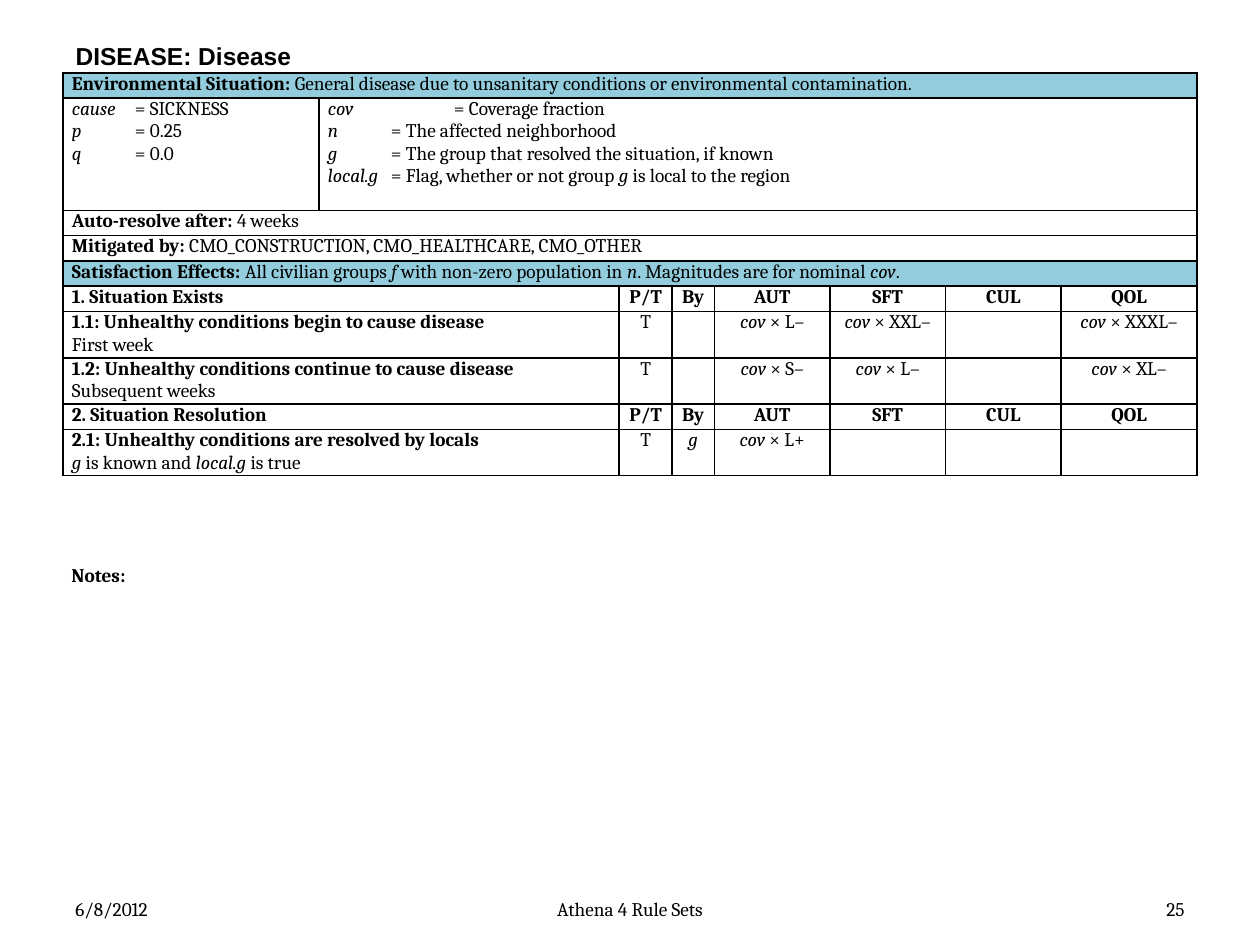
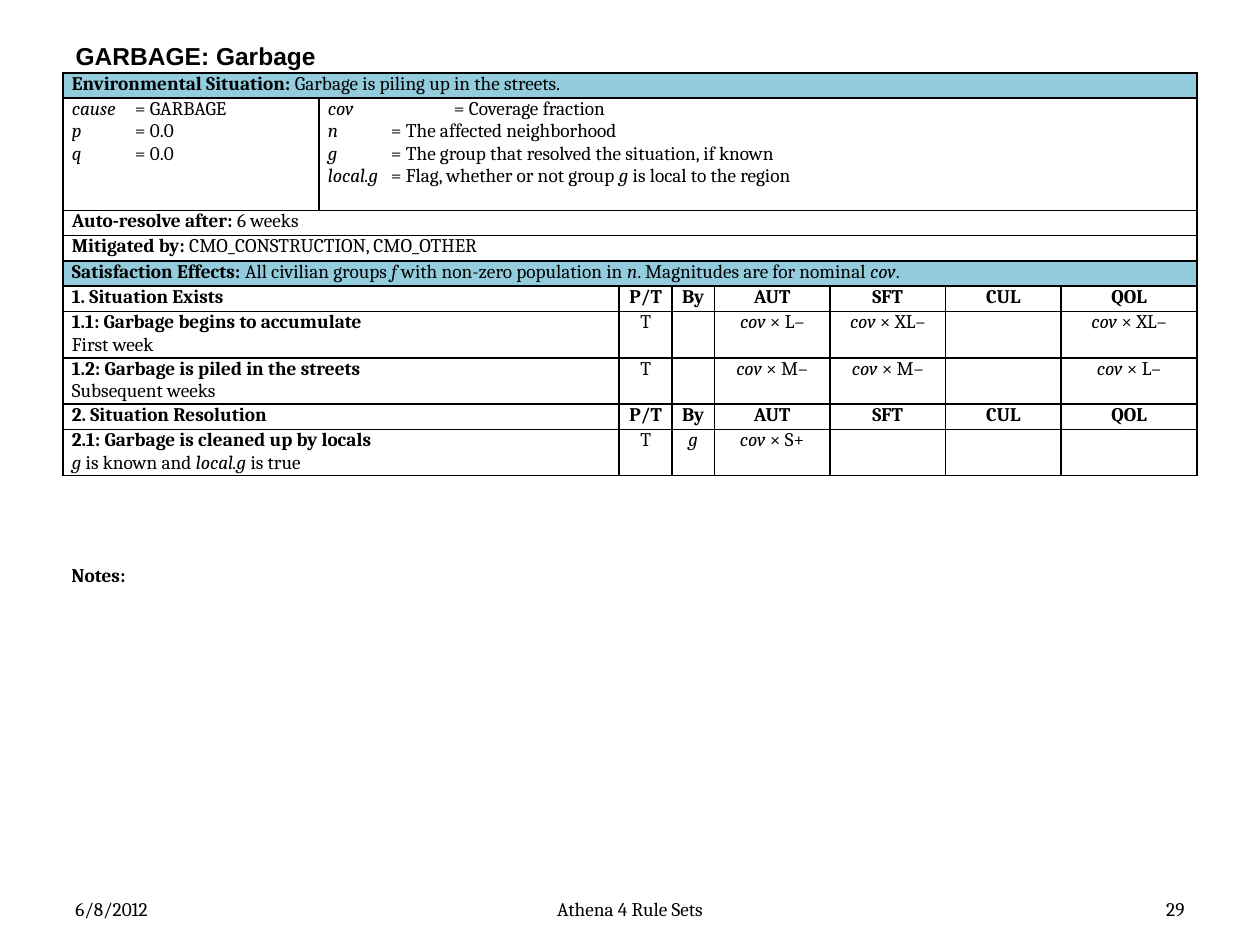
from dataclasses import dataclass
from typing import NamedTuple

from lxml import etree
from pptx import Presentation
from pptx.dml.color import RGBColor
from pptx.enum.text import MSO_ANCHOR, MSO_AUTO_SIZE, PP_ALIGN
from pptx.oxml.ns import qn
from pptx.util import Cm, Pt

LEFT, CENTER, RIGHT = PP_ALIGN.LEFT, PP_ALIGN.CENTER, PP_ALIGN.RIGHT
TOP, MIDDLE = MSO_ANCHOR.TOP, MSO_ANCHOR.MIDDLE
NO_AUTOFIT = MSO_AUTO_SIZE.NONE
TITLE_ONLY = 5


@dataclass(frozen=True)
class Theme:
    ink: str = "000000"
    paper: str = "FFFFFF"
    band: str = "93CDDD"
    title_font: str = "Arial"
    body_font: str = "Cambria"
    title_size: int = 14
    body_size: int = 11
    border: int = 1


THEME = Theme()


class Box(NamedTuple):
    """Left, top, width and height in centimetres."""
    x: float
    y: float
    w: float
    h: float

    def emu(self):
        return [Cm(v) for v in self]


TITLE_BOX = Box(1.27, 0.76, 22.86, 0.71)
TABLE_BOX = Box(1.27, 1.47, 22.86, 8.02)
NOTES_BOX = Box(1.19, 11.23, 23.06, 0.74)
FOOTER_BOX = Box(1.27, 17.98, 22.86, 0.69)

COLUMNS = [5.16, 6.05, 1.07, 0.85, 2.33, 2.33, 2.33, 2.74]
LINE_ROW, VARIABLES_ROW, RULE_ROW = 0.51, 2.26, 0.9
ROWS = [LINE_ROW, VARIABLES_ROW] + [LINE_ROW] * 4 + [RULE_ROW] * 2 + [LINE_ROW, RULE_ROW]
TAB, WIDE_TAB = 1.27, 2.54
CELL_MARGIN = 0.18

DATE = "6/8/2012"
DOCUMENT = "Athena 4 Rule Sets"
VARIABLES = [
    "~cov~\t= Coverage fraction",
    "~n~\t= The affected neighborhood",
    "~g~\t= The group that resolved the situation, if known",
    "~local.g~\t= Flag, whether or not group ~g~ is local to the region",
]
EFFECTS = ("*Satisfaction Effects:* All civilian groups ~f~ with non-zero "
           "population in ~n~. Magnitudes are for nominal ~cov~.")
HEADINGS = ["P/T", "By", "AUT", "SFT", "CUL", "QOL"]
RESOLVED_WHEN = "~g~ is known and ~local.g~ is true"


@dataclass(frozen=True)
class Rule:
    name: str
    when: str
    by: str
    magnitudes: tuple  # AUT, SFT, CUL, QOL


@dataclass(frozen=True)
class Situation:
    title: str
    page: int
    summary: str
    cause: str
    p: str
    q: str
    duration: str
    mitigation: str
    exists: tuple
    resolution: Rule


SITUATIONS = [
    Situation(
        "DISEASE: Disease", 25,
        "General disease due to unsanitary conditions or environmental contamination.",
        "SICKNESS", "0.25", "0.0", "4 weeks",
        "CMO_CONSTRUCTION, CMO_HEALTHCARE, CMO_OTHER",
        (Rule("1.1: Unhealthy conditions begin to cause disease", "First week",
              "", ("L–", "XXL–", "", "XXXL–")),
         Rule("1.2: Unhealthy conditions continue to cause disease", "Subsequent weeks",
              "", ("S–", "L–", "", "XL–"))),
        Rule("2.1: Unhealthy conditions are resolved by locals", RESOLVED_WHEN,
             "~g~", ("L+", "", "", ""))),
    Situation(
        "GARBAGE: Garbage", 29,
        "Garbage is piling up in the streets.",
        "GARBAGE", "0.0", "0.0", "6 weeks",
        "CMO_CONSTRUCTION, CMO_OTHER",
        (Rule("1.1: Garbage begins to accumulate", "First week",
              "", ("L–", "XL–", "", "XL–")),
         Rule("1.2: Garbage is piled in the streets", "Subsequent weeks",
              "", ("M–", "M–", "", "L–"))),
        Rule("2.1: Garbage is cleaned up by locals", RESOLVED_WHEN,
             "~g~", ("S+", "", "", ""))),
]


def rgb(color):
    return RGBColor.from_string(color)


def add_runs(p, text, font, size):
    """Write text into p; * switches bold and ~ switches italic."""
    for i, bold_part in enumerate(text.split("*")):
        for j, part in enumerate(bold_part.split("~")):
            if part:
                r = p.add_run()
                r.text = part
                r.font.name, r.font.size = font, Pt(size)
                r.font.bold, r.font.italic = i % 2 == 1, j % 2 == 1
                r.font.color.rgb = rgb(THEME.ink)


def write(tf, lines, align=LEFT, font=THEME.body_font, size=THEME.body_size, tabs=()):
    """Fill tf with one paragraph a line; tabs gives each line its tab stop."""
    for i, line in enumerate(lines):
        p = tf.paragraphs[0] if i == 0 else tf.add_paragraph()
        p.alignment = align
        if tabs:
            stops = etree.SubElement(p._p.get_or_add_pPr(), qn("a:tabLst"))
            etree.SubElement(stops, qn("a:tab"), pos=str(Cm(tabs[i])), algn="l")
        add_runs(p, line, font, size)


def add_text(slide, box, text, align=LEFT, anchor=MIDDLE):
    tf = slide.shapes.add_textbox(*box.emu()).text_frame
    tf.word_wrap = True
    tf.vertical_anchor = anchor
    write(tf, [text], align)


def place_title(slide, box, text):
    s = slide.shapes.title
    s.left, s.top, s.width, s.height = box.emu()
    tf = s.text_frame
    tf.auto_size = NO_AUTOFIT
    tf.vertical_anchor = MIDDLE
    write(tf, [f"*{text}*"], font=THEME.title_font, size=THEME.title_size)


def add_footer(slide, box, page):
    side, middle = 5.92, 8.05
    parts = [(0, side, DATE, LEFT),
             ((box.w - middle) / 2, middle, DOCUMENT, CENTER),
             (box.w - side, side, str(page), RIGHT)]
    for dx, w, text, align in parts:
        add_text(slide, Box(box.x + dx, box.y, w, box.h), text, align)


def format_cell(cell, fill):
    tc_pr = cell._tc.get_or_add_tcPr()
    for side in ("lnL", "lnR", "lnT", "lnB"):
        ln = etree.SubElement(tc_pr, qn(f"a:{side}"), w=str(Pt(THEME.border)))
        solid = etree.SubElement(ln, qn("a:solidFill"))
        etree.SubElement(solid, qn("a:srgbClr"), val=THEME.ink)
    cell.margin_left = cell.margin_right = Cm(CELL_MARGIN)
    cell.margin_top = cell.margin_bottom = 0
    cell.vertical_anchor = TOP
    cell.fill.solid()
    cell.fill.fore_color.rgb = rgb(fill)


def fill_row(table, row, lines, values):
    """Write a label over the first two columns and centred values after it."""
    table.cell(row, 0).merge(table.cell(row, 1))
    write(table.cell(row, 0).text_frame, lines)
    for col, value in enumerate(values, 2):
        write(table.cell(row, col).text_frame, [value], CENTER)


def fill_rule(table, row, rule):
    magnitudes = [f"~cov~ × {m}" if m else "" for m in rule.magnitudes]
    fill_row(table, row, [f"*{rule.name}*", rule.when], ["T", rule.by, *magnitudes])


def add_situation_table(slide, box, sit):
    table = slide.shapes.add_table(len(ROWS), len(COLUMNS), *box.emu()).table
    table.first_row = table.horz_banding = False
    for column, width in zip(table.columns, COLUMNS):
        column.width = Cm(width)
    for row, height in zip(table.rows, ROWS):
        row.height = Cm(height)

    full_rows = {
        0: f"*Environmental Situation:* {sit.summary}",
        2: f"*Auto-resolve after:* {sit.duration}",
        3: f"*Mitigated by:* {sit.mitigation}",
        4: EFFECTS,
    }
    for row in range(len(ROWS)):
        fill = THEME.band if row in (0, 4) else THEME.paper
        for col in range(len(COLUMNS)):
            format_cell(table.cell(row, col), fill)

    last = len(COLUMNS) - 1
    for row, text in full_rows.items():
        table.cell(row, 0).merge(table.cell(row, last))
        write(table.cell(row, 0).text_frame, [text])

    settings = [f"~cause~\t= {sit.cause}", f"~p~\t= {sit.p}", f"~q~\t= {sit.q}"]
    write(table.cell(1, 0).text_frame, settings, tabs=[TAB] * 3)
    table.cell(1, 1).merge(table.cell(1, last))
    write(table.cell(1, 1).text_frame, VARIABLES, tabs=[WIDE_TAB] + [TAB] * 3)

    for row, heading in ((5, "1. Situation Exists"), (8, "2. Situation Resolution")):
        fill_row(table, row, [f"*{heading}*"], [f"*{h}*" for h in HEADINGS])
    for row, rule in zip((6, 7, 9), (*sit.exists, sit.resolution)):
        fill_rule(table, row, rule)


def add_situation_slide(prs, sit):
    slide = prs.slides.add_slide(prs.slide_layouts[TITLE_ONLY])
    place_title(slide, TITLE_BOX, sit.title)
    add_footer(slide, FOOTER_BOX, sit.page)
    add_situation_table(slide, TABLE_BOX, sit)
    add_text(slide, NOTES_BOX, "*Notes:*", anchor=TOP)


def main():
    prs = Presentation()
    prs.slide_width, prs.slide_height = Cm(25.4), Cm(19.05)
    for sit in SITUATIONS:
        add_situation_slide(prs, sit)
    prs.save("out.pptx")


if __name__ == "__main__":
    main()
